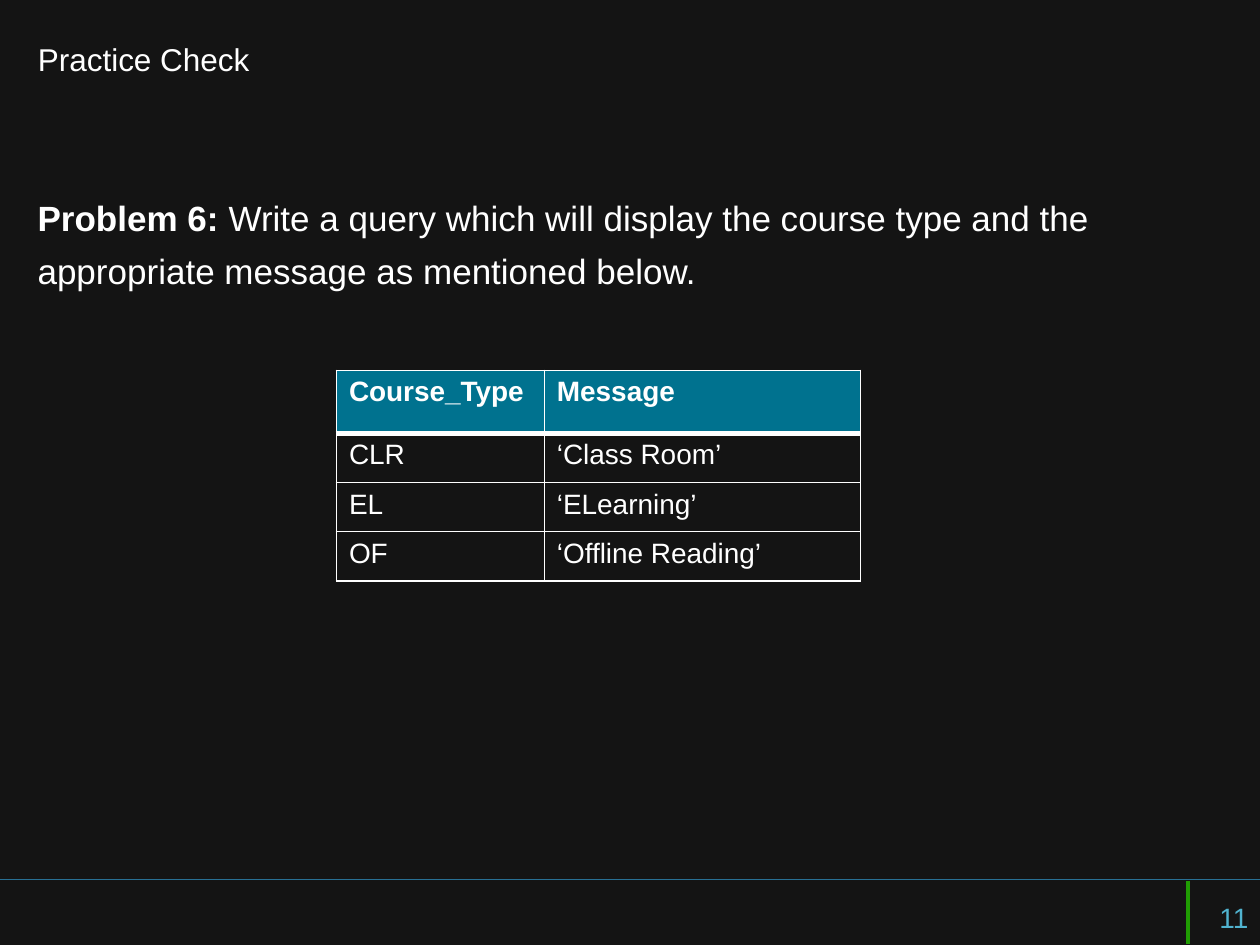
from lxml import etree
from pptx import Presentation
from pptx.dml import color
from pptx.enum import shapes, text
from pptx.oxml import ns
from pptx.util import Inches, Pt


def rgb(value):
    return color.RGBColor.from_string(value)


def add_run(paragraph, content, size, hex_color="FFFFFF", bold=False):
    run = paragraph.add_run()
    run.text = content
    run.font.name = "Arial"
    run.font.size = Pt(size)
    run.font.bold = bold
    run.font.color.rgb = rgb(hex_color)


presentation = Presentation()
presentation.slide_width = Inches(10)
presentation.slide_height = Inches(7.5)
slide = presentation.slides.add_slide(presentation.slide_layouts[5])
slide.background.fill.solid()
slide.background.fill.fore_color.rgb = rgb("141414")

footer_lines = [
    (10, 6.98, 0, 6.98, "287094", 0.75),
    (9.43, 6.99, 9.43, 7.49, "209D03", 2),
]
for x1, y1, x2, y2, line_color, width in footer_lines:
    line = slide.shapes.add_connector(
        shapes.MSO_CONNECTOR.STRAIGHT, Inches(x1), Inches(y1), Inches(x2), Inches(y2))
    line.line.color.rgb = rgb(line_color)
    line.line.width = Pt(width)
    etree.SubElement(line._element.spPr, ns.qn("a:effectLst"))

title = slide.shapes.title
title.left, title.top = Inches(0.2), Inches(0.25)
title.width, title.height = Inches(9.08), Inches(0.44)
title.text_frame.vertical_anchor = text.MSO_ANCHOR.MIDDLE
title.text_frame.auto_size = text.MSO_AUTO_SIZE.NONE
title.text_frame.paragraphs[0].alignment = text.PP_ALIGN.LEFT
add_run(title.text_frame.paragraphs[0], "Practice Check", 18)

problem = slide.shapes.add_textbox(Inches(0.2), Inches(1.43), Inches(9.17), Inches(1.24))
problem.text_frame.word_wrap = True
paragraph = problem.text_frame.paragraphs[0]
paragraph.line_spacing = 1.25
add_run(paragraph, "Problem 6: ", 20, bold=True)
add_run(paragraph, "Write a query which will display the course type and the "
        "appropriate message as mentioned below.", 20)

page_number = slide.shapes.add_textbox(Inches(9.58), Inches(7.1), Inches(0.81), Inches(0.25))
page_number.text_frame.word_wrap = True
add_run(page_number.text_frame.paragraphs[0], "11", 16, "50B3CF")

rows = [
    ("Course_Type", "Message"),
    ("CLR", "‘Class Room’"),
    ("EL", "‘ELearning’"),
    ("OF", "‘Offline Reading’"),
]
table = slide.shapes.add_table(
    len(rows), 2, Inches(2.67), Inches(2.94), Inches(4.16), Inches(1.67)).table
table.first_row = False
table.horz_banding = False
for column, width in zip(table.columns, (1.65, 2.51)):
    column.width = Inches(width)

for row_index, row in enumerate(rows):
    header = row_index == 0
    table.rows[row_index].height = Inches(0.5 if header else 0.39)
    for column_index, content in enumerate(row):
        cell = table.cell(row_index, column_index)
        add_run(cell.text_frame.paragraphs[0], content, 16, bold=header)
        properties = cell._tc.get_or_add_tcPr()
        for side in ("lnL", "lnR", "lnT", "lnB"):
            thick = (header and side == "lnB") or (row_index == 1 and side == "lnT")
            border = etree.SubElement(
                properties, ns.qn("a:" + side), w=str(Pt(3 if thick else 1)))
            fill = etree.SubElement(border, ns.qn("a:solidFill"))
            etree.SubElement(fill, ns.qn("a:srgbClr"), val="FFFFFF")
        if header:
            cell.fill.solid()
            cell.fill.fore_color.rgb = rgb("00728F")
        else:
            cell.fill.background()

presentation.save("out.pptx")
